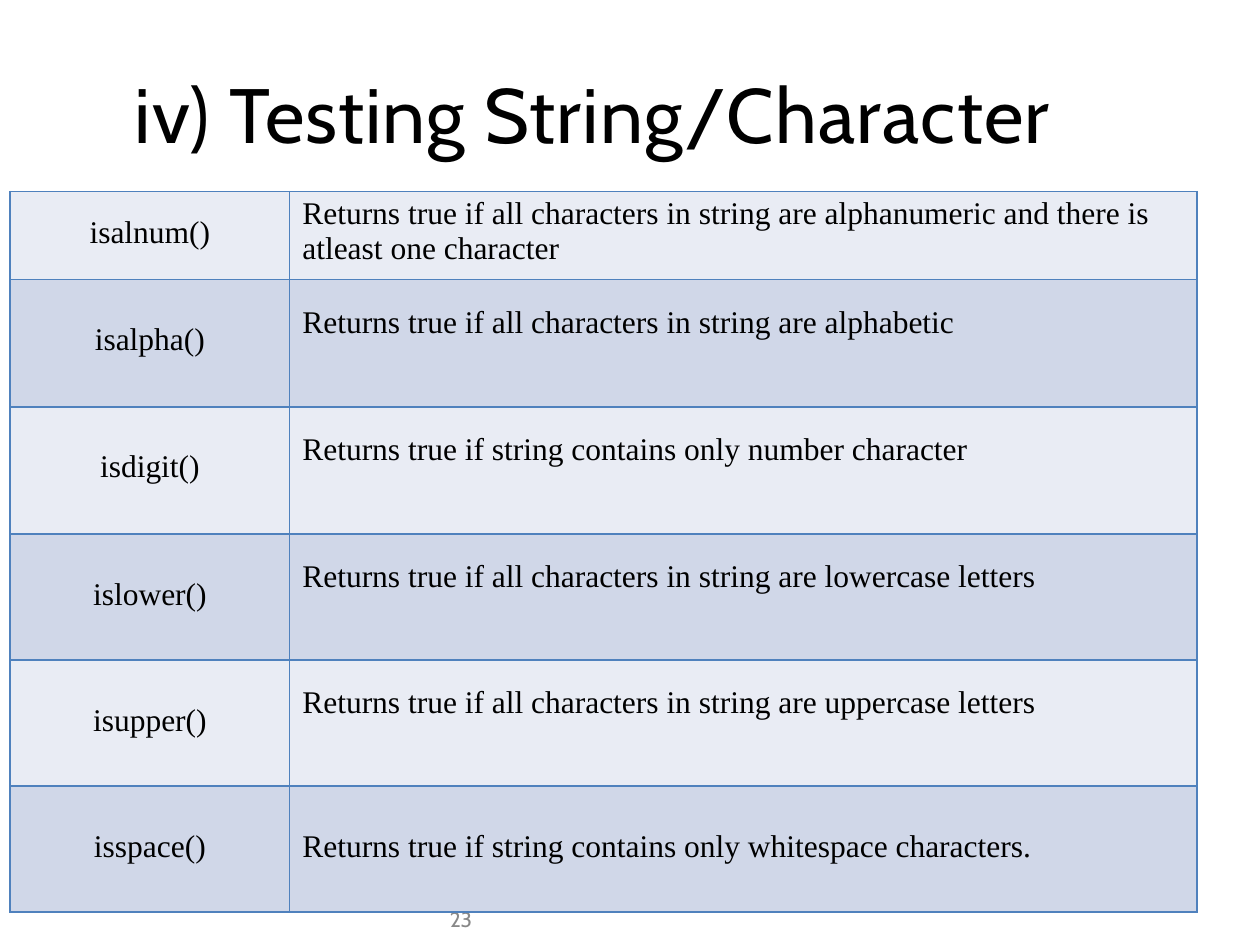
from typing import NamedTuple

from lxml import etree
from pptx import Presentation
from pptx.dml.color import RGBColor
from pptx.enum.text import MSO_ANCHOR, MSO_AUTO_SIZE, PP_ALIGN
from pptx.oxml.ns import qn
from pptx.util import Inches, Pt

LEFT, CENTER = PP_ALIGN.LEFT, PP_ALIGN.CENTER
TOP = MSO_ANCHOR.TOP
NO_AUTOFIT = MSO_AUTO_SIZE.NONE

BLACK = RGBColor(0x00, 0x00, 0x00)
GRAY = RGBColor(0x88, 0x88, 0x88)
BORDER = RGBColor(0x4F, 0x81, 0xBD)
BANDS = (RGBColor(0xE9, 0xEC, 0xF4), RGBColor(0xD0, 0xD7, 0xE8))

TITLE_FONT = "Cabin"
TABLE_FONT = "Times New Roman"
COLUMN_WIDTHS = (2.22, 7.2)


class Method(NamedTuple):
    name: str
    description: tuple[str, ...]
    height: float = 1.0
    name_top: float = 0.34
    description_top: float = 0.2


METHODS = (
    Method("isalnum()", ("Returns true if all characters in string are alphanumeric and there is",
                         "atleast one character"), 0.7, 0.19, 0.04),
    Method("isalpha()", ("Returns true if all characters in string are alphabetic",), 1.01),
    Method("isdigit()", ("Returns true if string contains only number character",), 1.01),
    Method("islower()", ("Returns true if all characters in string are lowercase letters",)),
    Method("isupper()", ("Returns true if all characters in string are uppercase letters",)),
    Method("isspace()", ("Returns true if string contains only whitespace characters.",),
           description_top=0.34),
)


def style_paragraph(paragraph, font_name: str, size: float, color: RGBColor, alignment) -> None:
    paragraph.alignment = alignment
    paragraph.font.name = font_name
    paragraph.font.size = Pt(size)
    paragraph.font.color.rgb = color


def prepare_frame(frame, top: float = 0) -> None:
    frame.margin_left = frame.margin_right = frame.margin_bottom = 0
    frame.margin_top = Inches(top)
    frame.word_wrap = True
    frame.auto_size = NO_AUTOFIT
    frame.vertical_anchor = TOP


def add_borders(cell) -> None:
    properties = cell._tc.get_or_add_tcPr()
    for index, side in enumerate(("a:lnL", "a:lnR", "a:lnT", "a:lnB")):
        line = etree.Element(qn(side), w=str(Pt(1)))
        fill = etree.SubElement(line, qn("a:solidFill"))
        etree.SubElement(fill, qn("a:srgbClr"), val=str(BORDER))
        properties.insert(index, line)


def fill_cell(cell, lines: tuple[str, ...], top: float, left: float, alignment,
              color: RGBColor) -> None:
    cell.margin_left, cell.margin_top = Inches(left), Inches(top)
    cell.margin_right = cell.margin_bottom = 0
    cell.vertical_anchor = TOP
    cell.fill.solid()
    cell.fill.fore_color.rgb = color
    add_borders(cell)
    cell.text_frame.text = "\n".join(lines)
    for paragraph in cell.text_frame.paragraphs:
        style_paragraph(paragraph, TABLE_FONT, 18, BLACK, alignment)


def add_title(slide) -> None:
    title = slide.shapes.title
    title.left, title.top = Inches(1.07), Inches(0.52)
    title.width, title.height = Inches(7.86), Inches(0.76)
    prepare_frame(title.text_frame, 0.01)
    paragraph = title.text_frame.paragraphs[0]
    for text, spacing in (("iv) ", 70), ("Testing ", 50), ("String/Character", 80)):
        run = paragraph.add_run()
        run.text = text
        run.font._element.set("spc", str(spacing))
    style_paragraph(paragraph, TITLE_FONT, 44, BLACK, LEFT)


def add_page_number(slide) -> None:
    box = slide.shapes.add_textbox(Inches(3.57), Inches(7.24), Inches(0.5), Inches(0.17))
    prepare_frame(box.text_frame)
    paragraph = box.text_frame.paragraphs[0]
    paragraph.text = "23"
    paragraph.line_spacing = Pt(11.4)
    style_paragraph(paragraph, TITLE_FONT, 12, GRAY, LEFT)


def add_method_table(slide) -> None:
    height = sum(method.height for method in METHODS)
    table = slide.shapes.add_table(len(METHODS), len(COLUMN_WIDTHS), Inches(0.08), Inches(1.52),
                                   Inches(sum(COLUMN_WIDTHS)), Inches(height)).table
    table.first_row = table.horz_banding = False
    for column, width in zip(table.columns, COLUMN_WIDTHS):
        column.width = Inches(width)
    for index, method in enumerate(METHODS):
        table.rows[index].height = Inches(method.height)
        color = BANDS[index % 2]
        fill_cell(table.cell(index, 0), (method.name,), method.name_top, 0, CENTER, color)
        fill_cell(table.cell(index, 1), method.description, method.description_top, 0.1,
                  LEFT, color)


def main() -> None:
    presentation = Presentation()
    presentation.slide_width, presentation.slide_height = Inches(10), Inches(7.5)
    slide = presentation.slides.add_slide(presentation.slide_layouts[5])
    add_title(slide)
    add_page_number(slide)
    add_method_table(slide)
    presentation.save("out.pptx")


if __name__ == "__main__":
    main()
